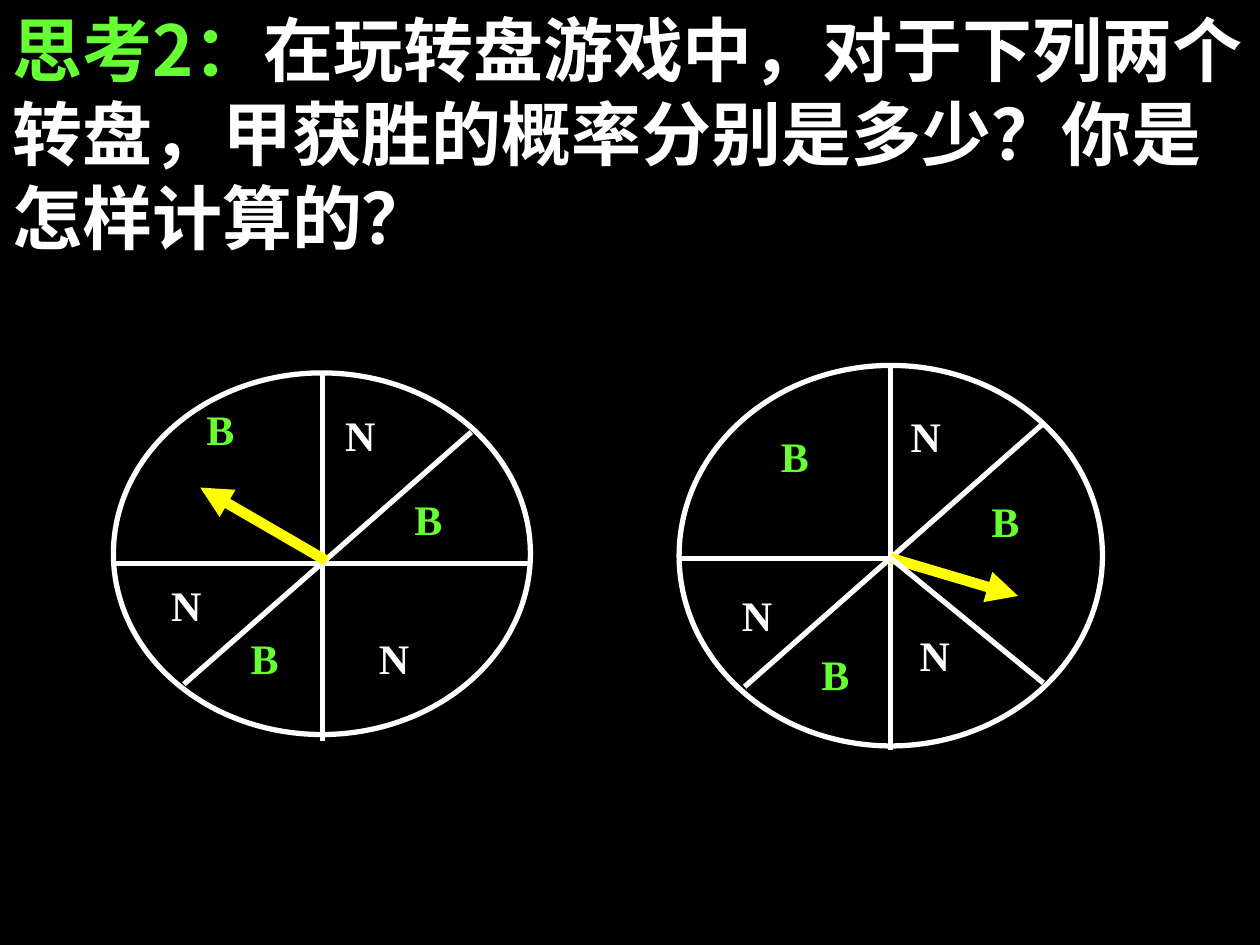
from lxml import etree
from pptx import Presentation
from pptx.dml.color import RGBColor
from pptx.enum.shapes import MSO_CONNECTOR, MSO_SHAPE
from pptx.enum.text import PP_ALIGN
from pptx.oxml.ns import qn
from pptx.util import Inches, Pt

LINE, OVAL, JUST = MSO_CONNECTOR.STRAIGHT, MSO_SHAPE.OVAL, PP_ALIGN.JUSTIFY
BLACK = RGBColor(0, 0, 0)
WHITE = RGBColor(255, 255, 255)
GREEN = RGBColor(0x66, 0xFF, 0x33)
GOLD = RGBColor(255, 255, 0)
SANS, SERIF = "Noto Sans CJK SC", "Times New Roman"

TITLE = [
    ("思考2：", GREEN),
    ("在玩转盘游戏中，对于下列两个转盘，甲获胜的概率分别是多少？你是怎样计算的？", WHITE),
]
HUES = {"B": GREEN, "N": WHITE}
WHEELS = [
    {
        "oval": (0.9, 2.96, 3.31, 2.87),
        "hub": (2.56, 4.47),
        "cuts": [((0.9, 4.47), (4.21, 4.47)), ((2.56, 2.96), (2.56, 5.88)),
                 ((3.74, 3.43), (1.46, 5.43))],
        "marks": [("B", 3.19, 3.87), ("B", 1.54, 3.15), ("B", 1.89, 4.97),
                  ("N", 2.64, 3.2), ("N", 2.91, 4.97), ("N", 1.26, 4.55)],
        "hand": ((2.59, 4.45), (1.59, 3.87)),
    },
    {
        "oval": (5.39, 2.9, 3.36, 3.02),
        "hub": (7.07, 4.43),
        "cuts": [((5.39, 4.43), (7.07, 4.43)), ((7.07, 2.88), (7.07, 5.95)),
                 ((8.27, 3.37), (5.91, 5.45)), ((7.07, 4.43), (8.28, 5.42))],
        "marks": [("B", 7.77, 3.88), ("B", 6.1, 3.37), ("B", 6.42, 5.1),
                  ("N", 7.13, 3.21), ("N", 7.2, 4.95), ("N", 5.79, 4.63)],
        "hand": ((7.07, 4.43), (8.08, 4.73)),
    },
]


def inch(*nums):
    return [Inches(n) for n in nums]


def style(font, name, size, hue=None):
    font.name, font.size, font.bold = name, Pt(size), True
    if hue is not None:
        font.color.rgb = hue


def draw_line(group, start, end, hue=WHITE, width=3, arrow=False):
    line = group.shapes.add_connector(LINE, *inch(*start, *end))
    line.line.color.rgb = hue
    line.line.width = Pt(width)
    if arrow:
        etree.SubElement(line.line._get_or_add_ln(), qn("a:tailEnd"), type="triangle")
    etree.SubElement(line._element.spPr, qn("a:effectLst"))


def draw_mark(group, text, left, top):
    box = group.shapes.add_textbox(*inch(left, top, 0.7, 0.5))
    box.text_frame.word_wrap = True
    para = box.text_frame.paragraphs[0]
    para.text = text
    para.alignment = JUST
    style(para.font, SERIF, 24, HUES[text])


def draw_wheel(slide, wheel):
    group = slide.shapes.add_group_shape()
    oval = group.shapes.add_shape(OVAL, *inch(*wheel["oval"]))
    oval.shadow.inherit = False
    oval.fill.background()
    oval.line.color.rgb = WHITE
    oval.line.width = Pt(3)
    *spokes, last = wheel["cuts"]
    for cut in spokes:
        draw_line(group, *cut)
    for mark in wheel["marks"]:
        draw_mark(group, *mark)
    if last[0] != wheel["hub"]:
        draw_line(group, *last)
    draw_line(group, *wheel["hand"], GOLD, 6, True)
    if last[0] == wheel["hub"]:
        draw_line(group, *last)


def draw_title(slide):
    box = slide.shapes.add_textbox(*inch(0, 0, 10, 2.1))
    box.text_frame.word_wrap = True
    para = box.text_frame.paragraphs[0]
    para.line_spacing = Pt(48)
    for text, hue in TITLE:
        run = para.add_run()
        run.text = text
        style(run.font, SANS, 40, hue)
        etree.SubElement(run._r.get_or_add_rPr(), qn("a:ea"), typeface=SANS)


def main():
    deck = Presentation()
    deck.slide_width, deck.slide_height = inch(10, 7.5)
    slide = deck.slides.add_slide(deck.slide_layouts[6])
    fill = slide.background.fill
    fill.solid()
    fill.fore_color.rgb = BLACK
    draw_title(slide)
    for wheel in WHEELS:
        draw_wheel(slide, wheel)
    deck.save("out.pptx")


if __name__ == "__main__":
    main()
